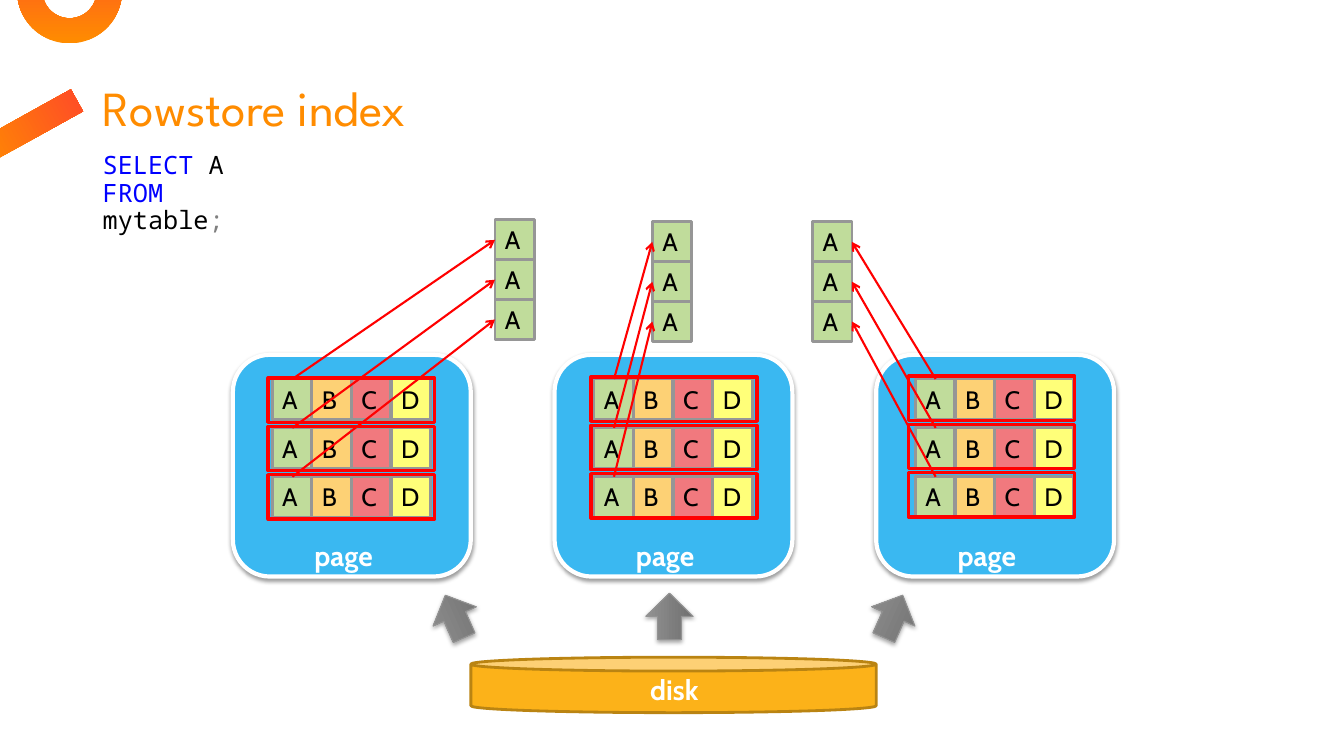
from lxml.etree import SubElement
from pptx import Presentation
from pptx.dml.color import RGBColor
from pptx.enum.shapes import MSO_CONNECTOR as Connector, MSO_SHAPE as Shape
from pptx.enum.text import MSO_ANCHOR as Anchor, PP_ALIGN as Align
from pptx.oxml.ns import qn
from pptx.util import Inches, Pt

WHITE = RGBColor(0xFF, 0xFF, 0xFF)
BLACK = RGBColor(0x00, 0x00, 0x00)
ORANGE = RGBColor(0xFF, 0x8C, 0x00)
CORAL = RGBColor(0xFF, 0x4B, 0x28)
PAGE_BLUE = RGBColor(0x3A, 0xB8, 0xF1)
GREEN = RGBColor(0xC0, 0xDC, 0x9B)
PEACH = RGBColor(0xFD, 0xD1, 0x75)
PINK = RGBColor(0xF1, 0x79, 0x7E)
YELLOW = RGBColor(0xFF, 0xFF, 0x79)
CELL_LINE = RGBColor(0x96, 0x96, 0x96)
RED = RGBColor(0xFF, 0x00, 0x00)
GOLD = RGBColor(0xFC, 0xB2, 0x19)
GOLD_LINE = RGBColor(0xBA, 0x84, 0x12)
DARK_GREY = RGBColor(0x70, 0x70, 0x70)
MID_GREY = RGBColor(0x91, 0x91, 0x91)
ARROW_LINE = RGBColor(0x93, 0x93, 0x93)
KEYWORD_BLUE = RGBColor(0x00, 0x00, 0xFF)
CODE_GREY = RGBColor(0x80, 0x80, 0x80)

CELL_WIDTH, CELL_HEIGHT = 0.39, 0.4
COLUMN_STEP = 1.18 / 3
ROW_STEP = 0.97 / 2
RESULT_STEP = 0.79 / 2
FRAME_STEP = 0.48
ROW_TOP = 3.76


class SlideBuilder:
    """Holds the text styles and the slide being filled."""

    styles = {
        "title": {"name": "League Spartan", "size": Pt(35), "bold": False},
        "cell": {"name": "Cabin", "size": Pt(18), "bold": False},
        "label": {"name": "Cabin", "size": Pt(20), "bold": True},
        "code": {"name": "Noto Sans Mono", "size": Pt(18), "bold": False},
    }

    def __init__(self, slide):
        self.slide = slide
        self.shapes = slide.shapes

    def fill_text(self, frame, style, lines, spacing=None):
        """Each line is a list of (text, colour) runs."""
        frame.word_wrap = True
        for index, runs in enumerate(lines):
            paragraph = frame.add_paragraph() if index else frame.paragraphs[0]
            paragraph.alignment = Align.LEFT
            paragraph.line_spacing = spacing
            for text, colour in runs:
                run = paragraph.add_run()
                run.text = text
                for name, value in self.styles[style].items():
                    setattr(run.font, name, value)
                run.font.color.rgb = colour

    def title(self, text, left, top, width, height):
        title = self.shapes.title
        box = {"left": left, "top": top, "width": width, "height": height}
        for name, value in box.items():
            setattr(title, name, Inches(value))
        title.text_frame.vertical_anchor = Anchor.BOTTOM
        self.fill_text(title.text_frame, "title", [[(text, ORANGE)]], 0.9)

    def text(self, style, lines, left, top, width, height, spacing=None):
        box = self.shapes.add_textbox(*map(Inches, (left, top, width, height)))
        self.fill_text(box.text_frame, style, lines, spacing)

    def shape(self, kind, left, top, width, height, fill=None, line=None,
              weight=0, rotation=0):
        """A pair of fill colours makes a gradient from bottom to top."""
        shape = self.shapes.add_shape(
            kind, *map(Inches, (left, top, width, height)))
        shape.shadow.inherit = False
        shape.rotation = rotation
        if fill is None:
            shape.fill.background()
        elif isinstance(fill, RGBColor):
            shape.fill.solid()
            shape.fill.fore_color.rgb = fill
        else:
            shape.fill.gradient()
            shape.fill.gradient_angle = 90
            for stop, colour in zip(shape.fill.gradient_stops, fill):
                stop.color.rgb = colour
        if line is None:
            shape.line.fill.background()
        else:
            shape.line.color.rgb = line
            shape.line.width = Pt(weight)
        return shape

    def shadow(self, shape, opacity, blur, distance):
        effects = shape._element.spPr.find(qn("a:effectLst"))
        outer = SubElement(effects, qn("a:outerShdw"), blurRad=str(Pt(blur)),
                           dist=str(Pt(distance)), dir="5400000",
                           rotWithShape="0")
        colour = SubElement(outer, qn("a:srgbClr"), val=str(BLACK))
        SubElement(colour, qn("a:alpha"), val=str(opacity * 1000))

    def cell(self, letter, colour, left, top):
        cell = self.shape(Shape.RECTANGLE, left, top, CELL_WIDTH, CELL_HEIGHT,
                          colour, CELL_LINE, 2)
        cell.text_frame.vertical_anchor = Anchor.TOP
        self.fill_text(cell.text_frame, "cell", [[(letter, BLACK)]])

    def arrow(self, start, end):
        arrow = self.shapes.add_connector(
            Connector.STRAIGHT, *map(Inches, (*start, *end)))
        arrow.line.color.rgb = RED
        arrow.line.width = Pt(1.5)
        properties = arrow._element.spPr
        SubElement(properties.find(qn("a:ln")), qn("a:tailEnd"), type="arrow")
        SubElement(properties, qn("a:effectLst"))


def main():
    presentation = Presentation()
    presentation.slide_width = Inches(13.33)
    presentation.slide_height = Inches(7.5)
    builder = SlideBuilder(
        presentation.slides.add_slide(presentation.slide_layouts[5]))

    # Corner ornaments
    ring = builder.shape(Shape.DONUT, 0.17, -0.61, 1.04, 1.04, (ORANGE, CORAL))
    ring.adjustments[0] = 0.24
    builder.shape(Shape.RECTANGLE, 0.17, 0.72, 0.25, 1.07, (ORANGE, CORAL),
                  rotation=61)

    # Title and query
    builder.title("Rowstore index", 0.92, 0.53, 11.5, 0.88)
    builder.text("code", [
        [("SELECT", KEYWORD_BLUE), (" A", BLACK)],
        [("FROM ", KEYWORD_BLUE), ("mytable", BLACK), (";", CODE_GREY)],
    ], 0.92, 1.47, 2.1, 0.71, 0.9)

    # Disk
    builder.shape(Shape.CAN, 4.67, 6.52, 4.02, 0.55, GOLD, GOLD_LINE, 2)
    builder.text("label", [[("disk", WHITE)]], 6.35, 6.62, 0.79, 0.44)

    # Arrows from the disk to the pages
    for left, rotation in ((4.28, 246.1), (6.41, 270), (8.63, 294)):
        block_arrow = builder.shape(
            Shape.RIGHT_ARROW, left, 5.88, 0.46, 0.47, (DARK_GREY, MID_GREY),
            ARROW_LINE, 0.75, rotation)
        builder.shadow(block_arrow, 35, 3.1, 1.8)

    # Pages: left, frame left, frame top, result left, result top, arrow end
    columns = (("A", GREEN), ("B", PEACH), ("C", PINK), ("D", YELLOW))
    pages = (
        (2.31, 2.66, 3.75, 4.91, 2.18, 4.91),
        (5.5, 5.86, 3.74, 6.47, 2.2, 6.47),
        (8.69, 9.01, 3.73, 8.06, 2.2, 8.45),
    )
    for left, frame_left, frame_top, result_left, result_top, end in pages:
        page = builder.shape(Shape.ROUNDED_RECTANGLE, left, 3.52, 2.36, 2.2,
                             PAGE_BLUE, WHITE, 3)
        builder.shadow(page, 38, 3.1, 1.6)
        builder.text("label", [[("page", WHITE)]], left + 0.71, 5.29, 0.87, 0.44)
        for row in range(3):
            for column, (letter, colour) in enumerate(columns):
                builder.cell(letter, colour, left + 0.39 + column * COLUMN_STEP,
                             ROW_TOP + row * ROW_STEP)
            builder.cell("A", GREEN, result_left, result_top + row * RESULT_STEP)
        for row in range(3):
            builder.shape(Shape.RECTANGLE, frame_left,
                          frame_top + row * FRAME_STEP, 1.65, 0.44,
                          line=RED, weight=2.5)
        for row in range(3):
            builder.arrow((left + 0.59, ROW_TOP + row * ROW_STEP),
                          (end, result_top + 0.2 + row * RESULT_STEP))

    presentation.save("out.pptx")


if __name__ == "__main__":
    main()
